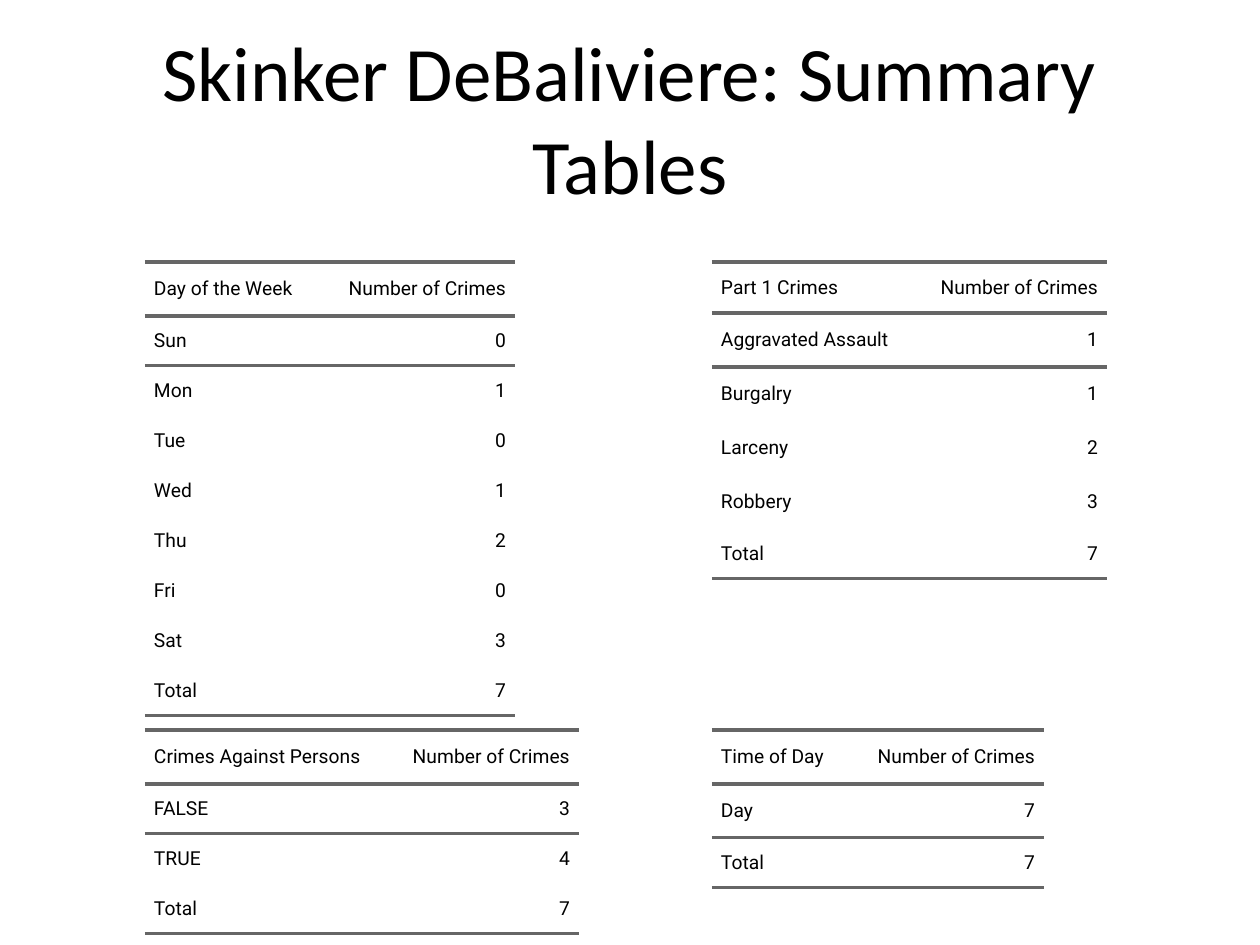
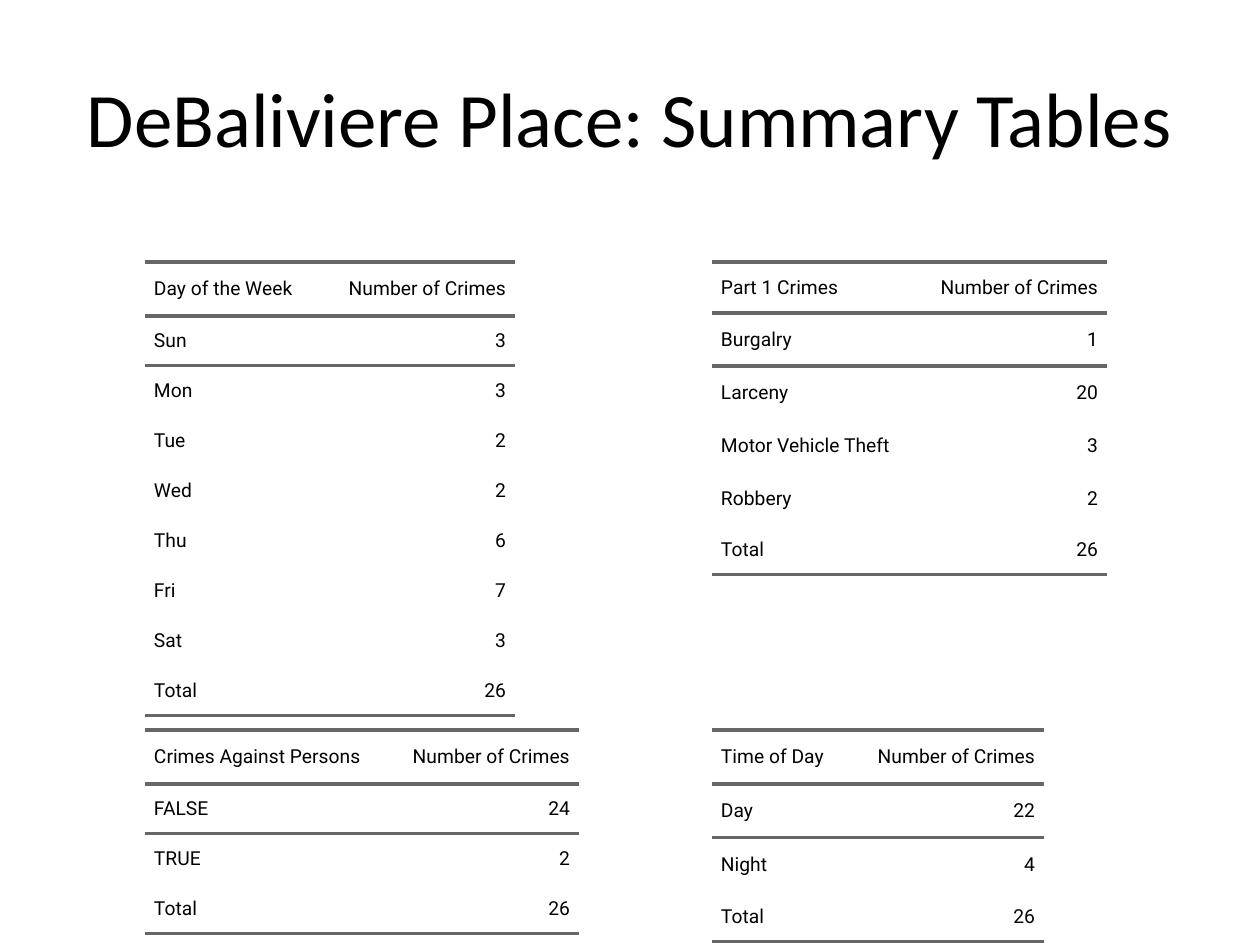
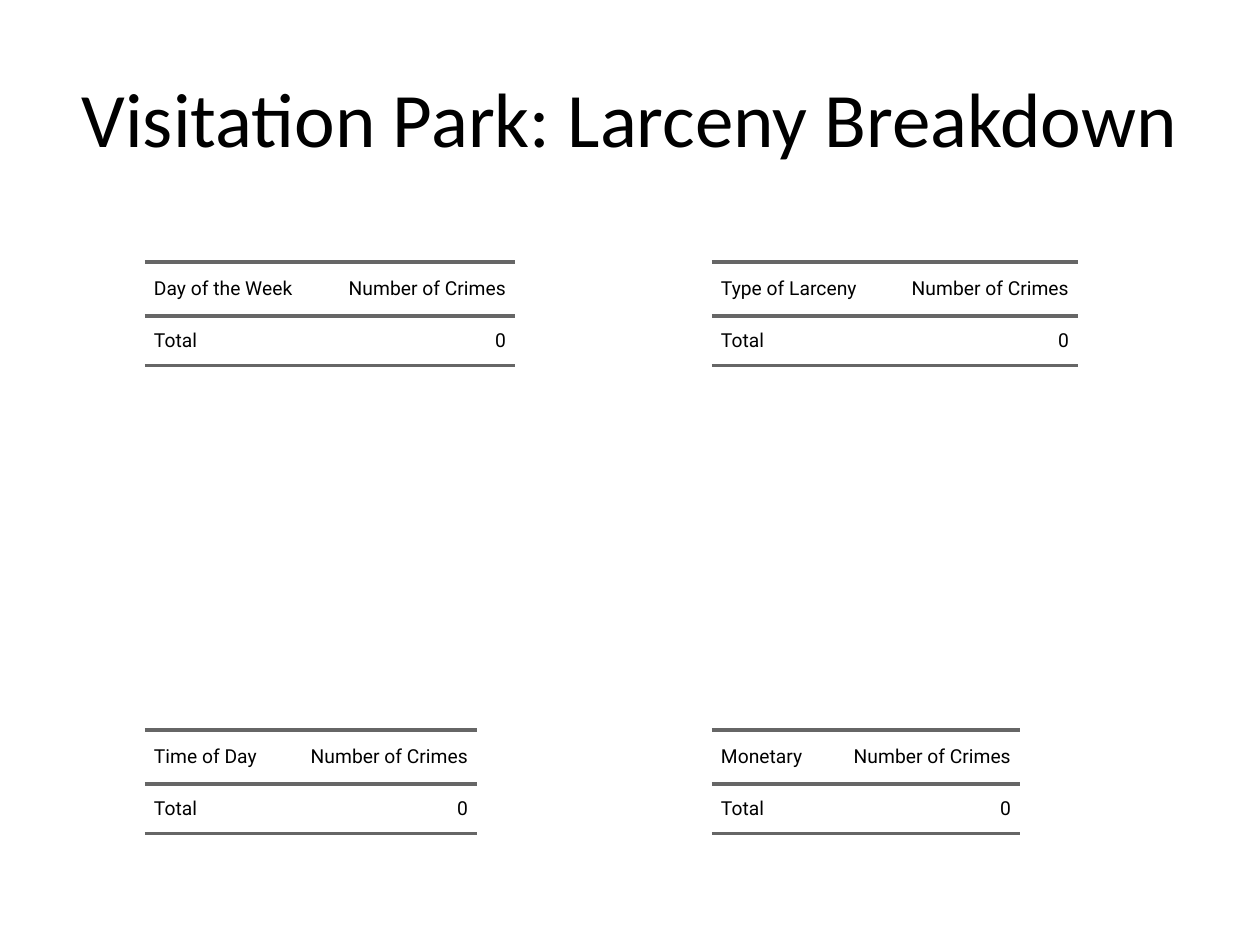
import pptx
import pptx.dml.color
import pptx.enum.text
import pptx.oxml
import pptx.oxml.ns
import pptx.util

PX = 914400 / 126
BLACK, RULE_GRAY = "000000", "666666"
TITLE_FONT, TABLE_FONT = "Calibri", "Roboto"
NO_GRID_STYLE = "{2D5ABB26-0587-4C30-8999-92F81FD0307C}"

# Table grid
LEFT, RIGHT = 145, 712
UPPER, LOWER = 262, 730
FRAME_WIDTH, FRAME_HEIGHT = 504, 378
COUNT_WIDTH = 192
TOTAL_HEIGHT = 50
CELL_INDENT = 9

DAYS = ["Sun", "Mon", "Tue", "Wed", "Thu", "Fri", "Sat"]

# Each table: left, top, heading, label width, header height, row height, counts
SLIDES = [
    ("Skinker DeBaliviere: Summary Tables", [
        (RIGHT, UPPER, "Part 1 Crimes", 203, 51, 54,
         {"Aggravated Assault": 1, "Burgalry": 1, "Larceny": 2, "Robbery": 3}),
        (LEFT, UPPER, "Day of the Week", 178, 54, 50, dict(zip(DAYS, [0, 1, 0, 1, 2, 0, 3]))),
        (LEFT, LOWER, "Crimes Against Persons", 242, 54, 50, {"FALSE": 3, "TRUE": 4}),
        (RIGHT, LOWER, "Time of Day", 140, 54, 54, {"Day": 7}),
    ]),
    ("DeBaliviere Place: Summary Tables", [
        (RIGHT, UPPER, "Part 1 Crimes", 203, 51, 53,
         {"Burgalry": 1, "Larceny": 20, "Motor Vehicle Theft": 3, "Robbery": 2}),
        (LEFT, UPPER, "Day of the Week", 178, 54, 50, dict(zip(DAYS, [3, 3, 2, 2, 6, 7, 3]))),
        (LEFT, LOWER, "Crimes Against Persons", 242, 54, 50, {"FALSE": 24, "TRUE": 2}),
        (RIGHT, LOWER, "Time of Day", 140, 54, 54, {"Day": 22, "Night": 4}),
    ]),
    ("Visitation Park: Larceny Breakdown", [
        (LEFT, UPPER, "Day of the Week", 178, 54, 50, {}),
        (LEFT, LOWER, "Time of Day", 140, 54, 50, {}),
        (RIGHT, UPPER, "Type of Larceny", 174, 54, 50, {}),
        (RIGHT, LOWER, "Monetary", 116, 54, 50, {}),
    ]),
]


def emu(px):
    return pptx.util.Emu(round(px * PX))


def set_font(paragraph, name, size, color):
    paragraph.font.name = name
    paragraph.font.size = pptx.util.Pt(size)
    paragraph.font.color.rgb = pptx.dml.color.RGBColor.from_string(color)


ALIGN = pptx.enum.text.PP_ALIGN
MIDDLE = pptx.enum.text.MSO_ANCHOR.MIDDLE

deck = pptx.Presentation()
deck.slide_width, deck.slide_height = emu(1260), emu(945)

for title, tables in SLIDES:
    page = deck.slides.add_slide(deck.slide_layouts[6])

    # Title
    box = page.shapes.add_textbox(emu(63), emu(38), emu(1134), emu(158))
    box.text_frame.word_wrap = True
    box.text_frame.vertical_anchor = MIDDLE
    para = box.text_frame.paragraphs[0]
    para.text = title
    para.alignment = ALIGN.CENTER
    set_font(para, TITLE_FONT, 44, BLACK)

    # Summary tables
    for left, top, heading, label_width, header_height, row_height, counts in tables:
        rows = [(heading, "Number of Crimes"), *counts.items(), ("Total", sum(counts.values()))]
        last = len(rows) - 1
        frame = page.shapes.add_table(len(rows), 2, emu(left), emu(top),
                                      emu(FRAME_WIDTH), emu(FRAME_HEIGHT))
        table = frame.table
        table.first_row = table.horz_banding = False
        table._tbl.tblPr.find(pptx.oxml.ns.qn("a:tableStyleId")).text = NO_GRID_STYLE
        table.columns[0].width, table.columns[1].width = emu(label_width), emu(COUNT_WIDTH)
        heights = [header_height] + [row_height] * len(counts) + [TOTAL_HEIGHT]

        for row_index, row in enumerate(rows):
            table.rows[row_index].height = emu(heights[row_index])
            # Rules above and below the header, and below the total
            edges = ["lnT"] if row_index < 2 else []
            if row_index in (0, last):
                edges.append("lnB")

            for column_index, value in enumerate(row):
                cell = table.cell(row_index, column_index)
                cell.margin_left = cell.margin_right = cell.margin_top = cell.margin_bottom = 0
                cell.vertical_anchor = MIDDLE
                for edge in edges:
                    cell._tc.get_or_add_tcPr().append(pptx.oxml.parse_xml(
                        f'<a:{edge} {pptx.oxml.ns.nsdecls("a")} w="{pptx.util.Pt(2)}"><a:solidFill>'
                        f'<a:srgbClr val="{RULE_GRAY}"/></a:solidFill></a:{edge}>'))
                cell.fill.background()

                para = cell.text_frame.paragraphs[0]
                para.text = str(value)
                para.alignment = ALIGN.RIGHT if column_index else ALIGN.LEFT
                para.space_before = para.space_after = pptx.util.Pt(5)
                for margin in ("marL", "marR"):
                    para._p.get_or_add_pPr().set(margin, str(emu(CELL_INDENT)))
                set_font(para, TABLE_FONT, 11, BLACK)

        # Row and column sizes reset the frame, so its size comes last
        frame.width, frame.height = emu(FRAME_WIDTH), emu(FRAME_HEIGHT)

deck.save("out.pptx")
